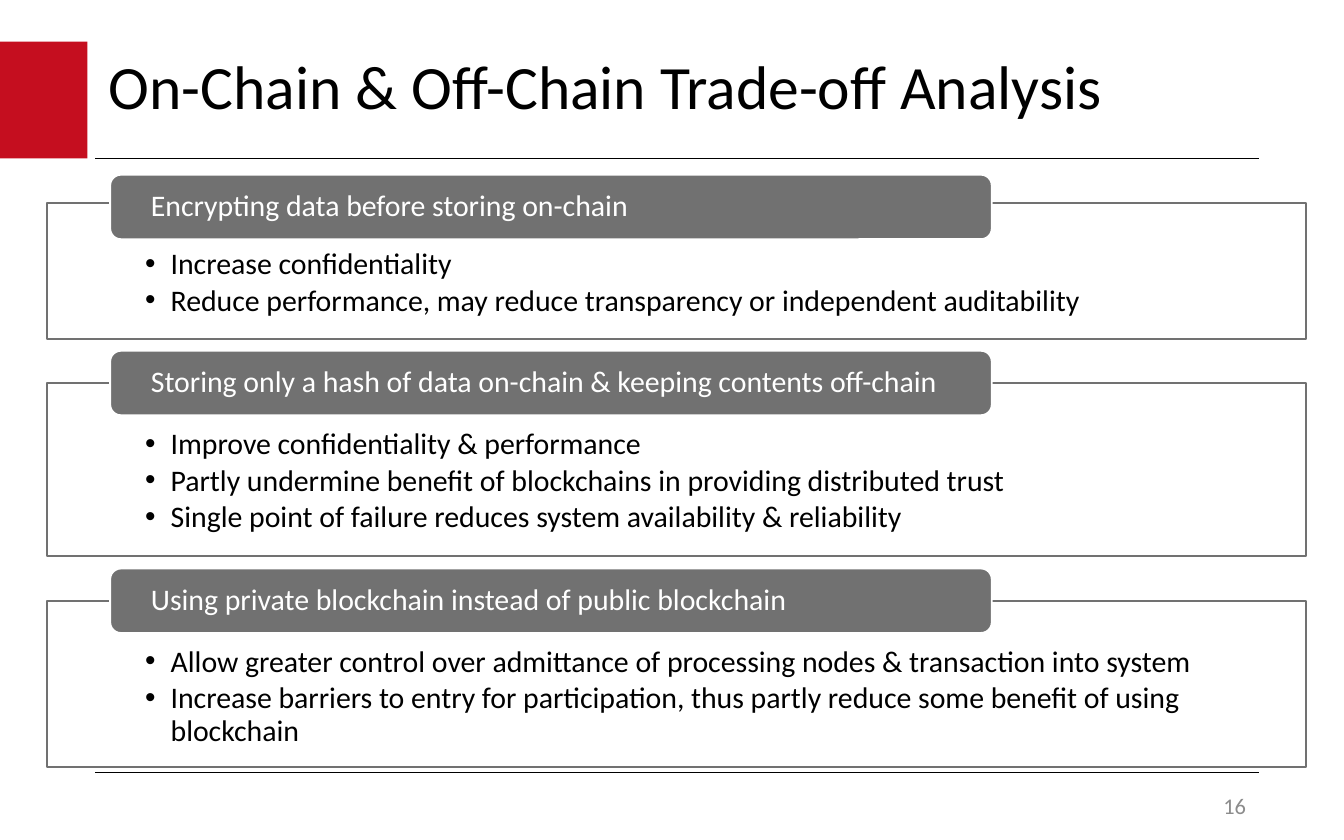
from lxml.etree import SubElement
from pptx import Presentation
from pptx.dml.color import RGBColor
from pptx.enum.shapes import MSO_CONNECTOR, MSO_SHAPE
from pptx.enum.text import MSO_ANCHOR, PP_ALIGN
from pptx.oxml.ns import qn
from pptx.util import Pt

PX = 9144
RED = RGBColor(0xC5, 0x0E, 0x1F)
BLACK = RGBColor(0x00, 0x00, 0x00)
WHITE = RGBColor(0xFF, 0xFF, 0xFF)
GRAY = RGBColor(0x71, 0x71, 0x71)
PALE_GRAY = RGBColor(0x8C, 0x8C, 0x8C)

SECTIONS = [
    (151, 101, 130, "Encrypting data before storing on-chain", [
        "Increase confidentiality",
        "Reduce performance, may reduce transparency or independent auditability",
    ]),
    (285, 129, 261, "Storing only a hash of data on-chain & keeping contents off-chain", [
        "Improve confidentiality & performance",
        "Partly undermine benefit of blockchains in providing distributed trust",
        "Single point of failure reduces system availability & reliability",
    ]),
    (447, 124, 423, "Using private blockchain instead of public blockchain", [
        "Allow greater control over admittance of processing nodes & transaction into system",
        "Increase barriers to entry for participation, thus partly reduce some benefit "
        "of using blockchain",
    ]),
]


def px(*values):
    return [v * PX for v in values]


def assign(obj, values):
    for name, value in values.items():
        setattr(obj, name, value)


class SlideBuilder:
    font = "Calibri"

    def __init__(self, slide):
        self.s = slide

    def fill_text(self, sp, lines, size, color, insets=(10, 5, 10, 5),
                  anchor=MSO_ANCHOR.MIDDLE, bullets=False, **para):
        tf = sp.text_frame
        left, top, right, bottom = px(*insets)
        assign(tf, {"word_wrap": True, "vertical_anchor": anchor,
                    "margin_left": left, "margin_top": top,
                    "margin_right": right, "margin_bottom": bottom})
        for i, line in enumerate(lines):
            p = tf.paragraphs[0] if i == 0 else tf.add_paragraph()
            assign(p, {"alignment": PP_ALIGN.LEFT, "line_spacing": 0.9, **para})
            r = p.add_run()
            r.text = line
            assign(r.font, {"name": self.font, "size": Pt(size)})
            r.font.color.rgb = color
            if bullets:
                self.bullet(p)

    def bullet(self, p):
        pPr = p._p.get_or_add_pPr()
        pPr.set("marL", str(19 * PX))
        pPr.set("indent", str(-19 * PX))
        SubElement(pPr, qn("a:buFont"), typeface="Arial")
        SubElement(pPr, qn("a:buChar"), char="•")

    def shape(self, kind, box, fill, line=None, opacity=None):
        sp = self.s.shapes.add_shape(kind, *px(*box))
        sp.shadow.inherit = False
        sp.fill.solid()
        sp.fill.fore_color.rgb = fill
        if opacity:
            color = sp._element.spPr.find(qn("a:solidFill"))[0]
            SubElement(color, qn("a:alpha"), val=str(opacity * 1000))
        if line is None:
            sp.line.fill.background()
        else:
            sp.line.color.rgb = line
            sp.line.width = Pt(1)
        return sp

    def rule(self, y):
        c = self.s.shapes.add_connector(MSO_CONNECTOR.STRAIGHT, *px(71, y, 937, y))
        c.line.color.rgb = BLACK
        c.line.width = Pt(0.75)
        SubElement(c._element.spPr, qn("a:effectLst"))

    def text(self, box, line, size, color, **style):
        sp = self.s.shapes.add_textbox(*px(*box))
        self.fill_text(sp, [line], size, color, **style)

    def section(self, top, height, tab_top, heading, points):
        body = self.shape(MSO_SHAPE.RECTANGLE, (35, top, 937, height), WHITE, GRAY, 90)
        self.fill_text(body, points, 16, BLACK, (73, 34, 73, 12), MSO_ANCHOR.TOP,
                       bullets=True, level=1, space_after=Pt(2.4))
        tab = self.shape(MSO_SHAPE.ROUNDED_RECTANGLE, (82, tab_top, 656, 48), GRAY, WHITE)
        self.fill_text(tab, [heading], 16, WHITE, (28, 0, 28, 0))


def main():
    prs = Presentation()
    assign(prs, {"slide_width": 1000 * PX, "slide_height": 625 * PX})
    b = SlideBuilder(prs.slides.add_slide(prs.slide_layouts[6]))
    b.shape(MSO_SHAPE.RECTANGLE, (0, 31, 65, 87), RED)
    for y in (118, 575):
        b.rule(y)
    b.text((71, 31, 866, 71), "On-Chain & Off-Chain Trade-off Analysis", 33, BLACK)
    for section in SECTIONS:
        b.section(*section)
    b.text((734, 587, 203, 25), "16", 12, PALE_GRAY,
           alignment=PP_ALIGN.RIGHT, line_spacing=1.0)
    prs.save("out.pptx")


if __name__ == "__main__":
    main()
